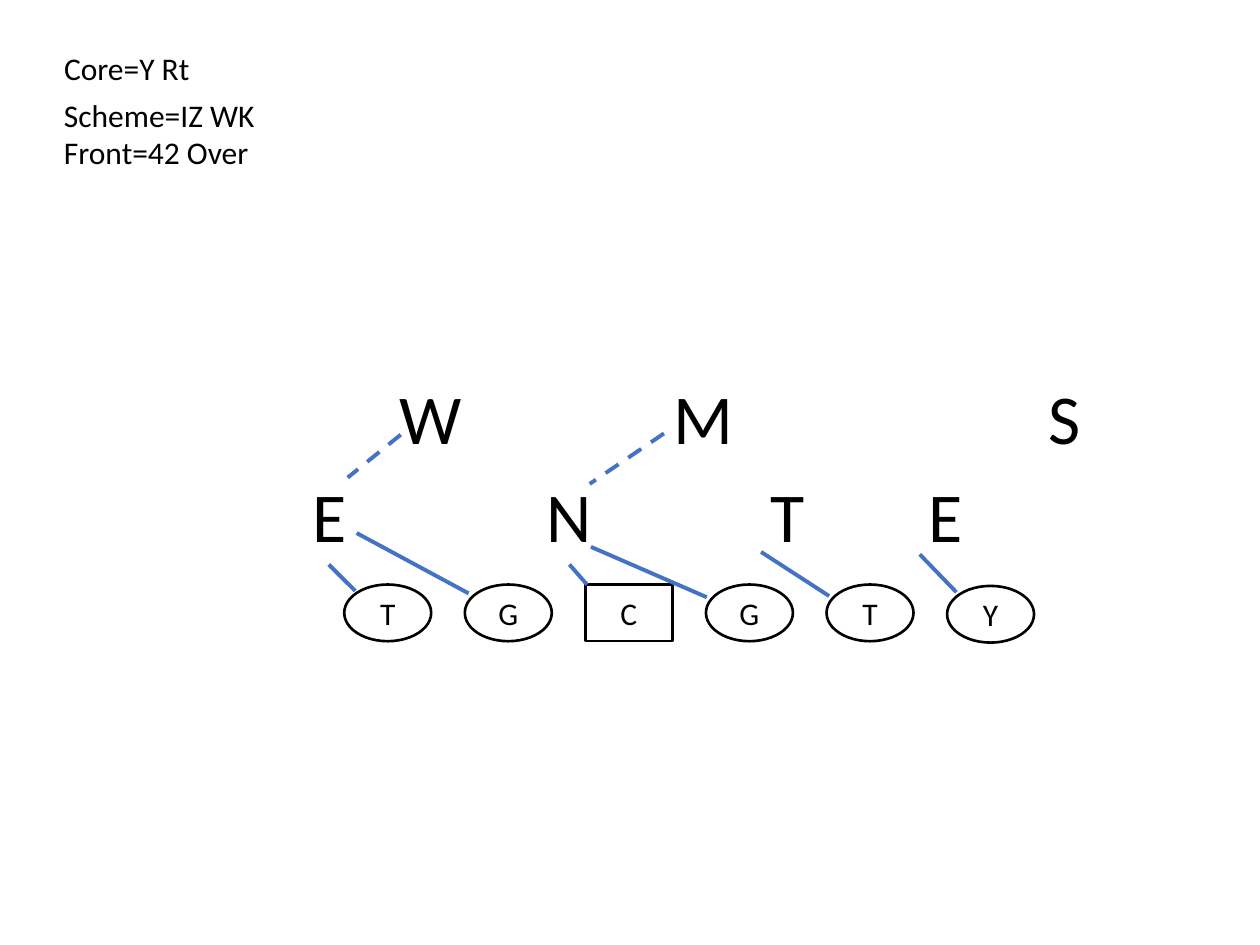
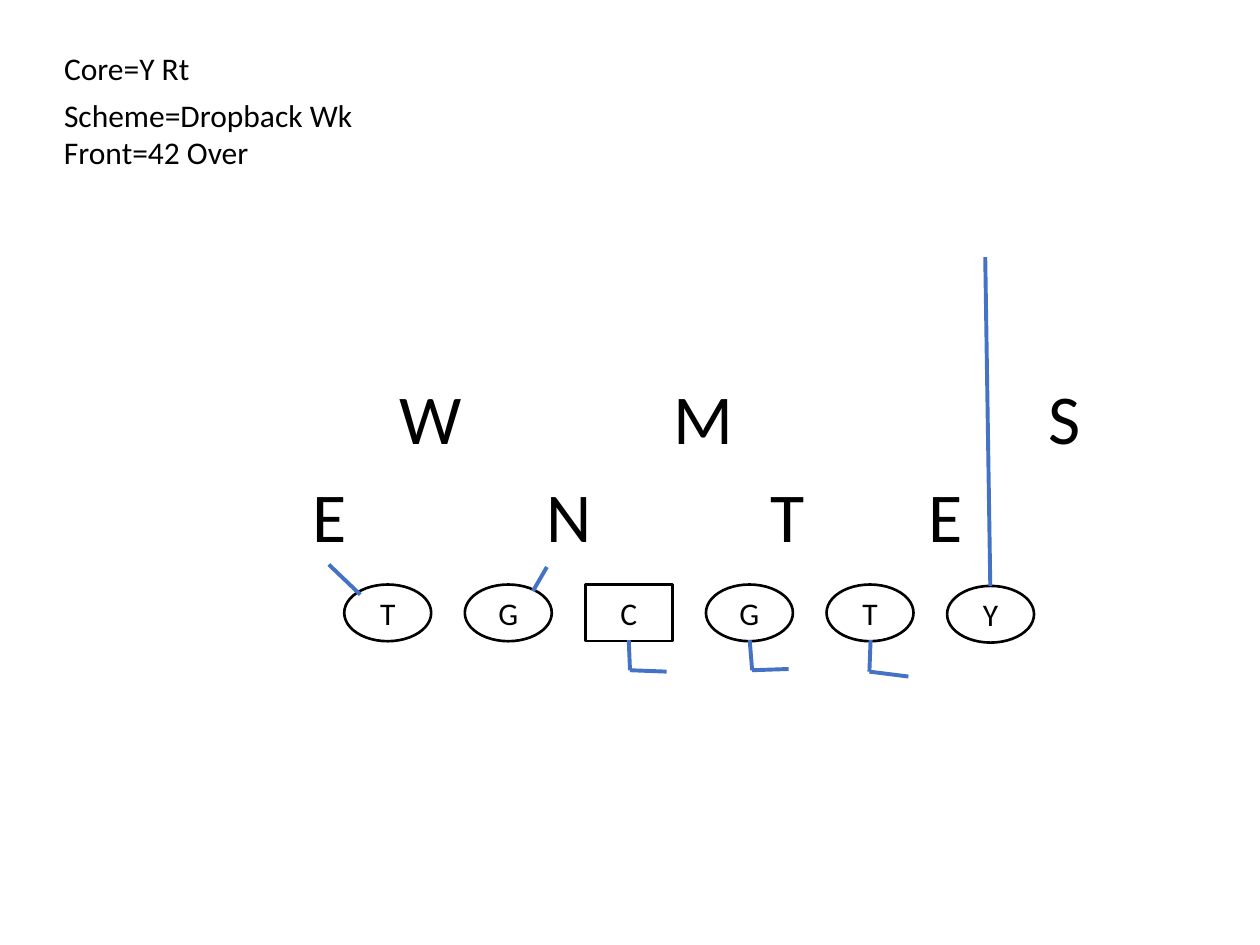
"""Build two football blocking diagrams that share one formation and front."""
from itertools import pairwise
from lxml import etree
from pptx import Presentation
from pptx.dml.color import RGBColor
from pptx.enum.dml import MSO_LINE
from pptx.enum.shapes import MSO_CONNECTOR, MSO_SHAPE
from pptx.enum.text import MSO_ANCHOR, MSO_AUTO_SIZE, PP_ALIGN
from pptx.oxml.ns import qn
from pptx.util import Pt

COLORS = {"ink": "000000", "paper": "FFFFFF", "block": "4472C4"}
RGB = {name: RGBColor.from_string(value) for name, value in COLORS.items()}

LINE_LEFT, LINE_TOP, LINE_PITCH = 196.7, 334, 68.9
PLAYER_W, PLAYER_H = 49.7, 32.4
OFFENSE = "TGCGTY"
FRONT_TOP, BACKER_TOP = 266.4, 210.2
DEFENSE = [
    ("N", 305.3, FRONT_TOP, 40.3),
    ("T", 433.4, FRONT_TOP, 34.6),
    ("E", 523.4, FRONT_TOP, 34.6),
    ("E", 171.4, FRONT_TOP, 34.6),
    ("W", 221, BACKER_TOP, 50.4),
    ("M", 378, BACKER_TOP, 50.4),
    ("S", 591.8, BACKER_TOP, 34.6),
]

PLAYS = [
    {
        "scheme": ("Scheme=IZ WK", 124.6),
        "blocks": [
            [(187.9, 322.6), (203, 337.7)],
            [(203.8, 304.6), (267.8, 339.1)],
            [(325.4, 322.6), (335.5, 334.1)],
            [(337.7, 312.5), (403.9, 341.3)],
            [(434.9, 315.4), (473.8, 340.6)],
            [(525.6, 316.8), (546.5, 338.4)],
        ],
        "climbs": [
            [(229, 248.4), (198.7, 272.9)],
            [(379.4, 247.7), (337, 276.5)],
        ],
    },
    {
        "scheme": ("Scheme=Dropback Wk", 181.4),
        "blocks": [
            [(187.9, 322.6), (205.9, 339.8)],
            [(312.5, 324), (304.6, 337.7)],
            [(359.3, 365.8), (360, 383), (380.9, 383.8)],
            [(428.4, 365.8), (429.8, 383), (450.7, 382.3)],
            [(497.5, 365.8), (496.8, 383.8), (519.1, 386.6)],
            [(565.9, 334.8), (563, 146.9)],
        ],
        "climbs": [],
    },
]


def write(tf, text, size, align):
    tf.word_wrap = align == PP_ALIGN.CENTER
    p = tf.paragraphs[0]
    p.text = text
    p.alignment = align
    p.font.size = Pt(size)
    p.font.name = "Calibri"
    p.font.color.rgb = RGB["ink"]


def add_label(s, text, left, top, width, height, size):
    tf = s.shapes.add_textbox(Pt(left), Pt(top), Pt(width), Pt(height)).text_frame
    write(tf, text, size, PP_ALIGN.LEFT)
    tf.auto_size = MSO_AUTO_SIZE.SHAPE_TO_FIT_TEXT


prs = Presentation()
prs.slide_width, prs.slide_height = Pt(720), Pt(540)

for play in PLAYS:
    s = prs.slides.add_slide(prs.slide_layouts[6])
    s.background.fill.solid()
    s.background.fill.fore_color.rgb = RGB["paper"]

    scheme, scheme_width = play["scheme"]
    for text, top, width in [
        ("Core=Y Rt", 24.5, 87.1),
        (scheme, 51.1, scheme_width),
        ("Front=42 Over", 72.7, 125.3),
    ]:
        add_label(s, text, 29.5, top, width, 29.1, 18)

    for i, player in enumerate(OFFENSE):
        kind = MSO_SHAPE.RECTANGLE if player == "C" else MSO_SHAPE.OVAL
        top = LINE_TOP + (0.8 if player == "Y" else 0)
        sp = s.shapes.add_shape(kind, Pt(LINE_LEFT + i * LINE_PITCH), Pt(top),
                                Pt(PLAYER_W), Pt(PLAYER_H))
        sp.shadow.inherit = False
        sp.fill.solid()
        sp.fill.fore_color.rgb = RGB["paper"]
        sp.line.color.rgb = RGB["ink"]
        sp.line.width = Pt(1.5)
        sp.text_frame.vertical_anchor = MSO_ANCHOR.MIDDLE
        write(sp.text_frame, player, 18, PP_ALIGN.CENTER)

    for player, left, top, width in DEFENSE:
        add_label(s, player, left, top, width, 55.7, 40)

    for group, dash in [("blocks", None), ("climbs", MSO_LINE.DASH)]:
        for route in play[group]:
            for (x1, y1), (x2, y2) in pairwise(route):
                line = s.shapes.add_connector(MSO_CONNECTOR.STRAIGHT,
                                              Pt(x1), Pt(y1), Pt(x2), Pt(y2))
                line.line.color.rgb = RGB["block"]
                line.line.width = Pt(2.25)
                line.line.dash_style = dash
                etree.SubElement(line._element.spPr, qn("a:effectLst"))

prs.save("out.pptx")
